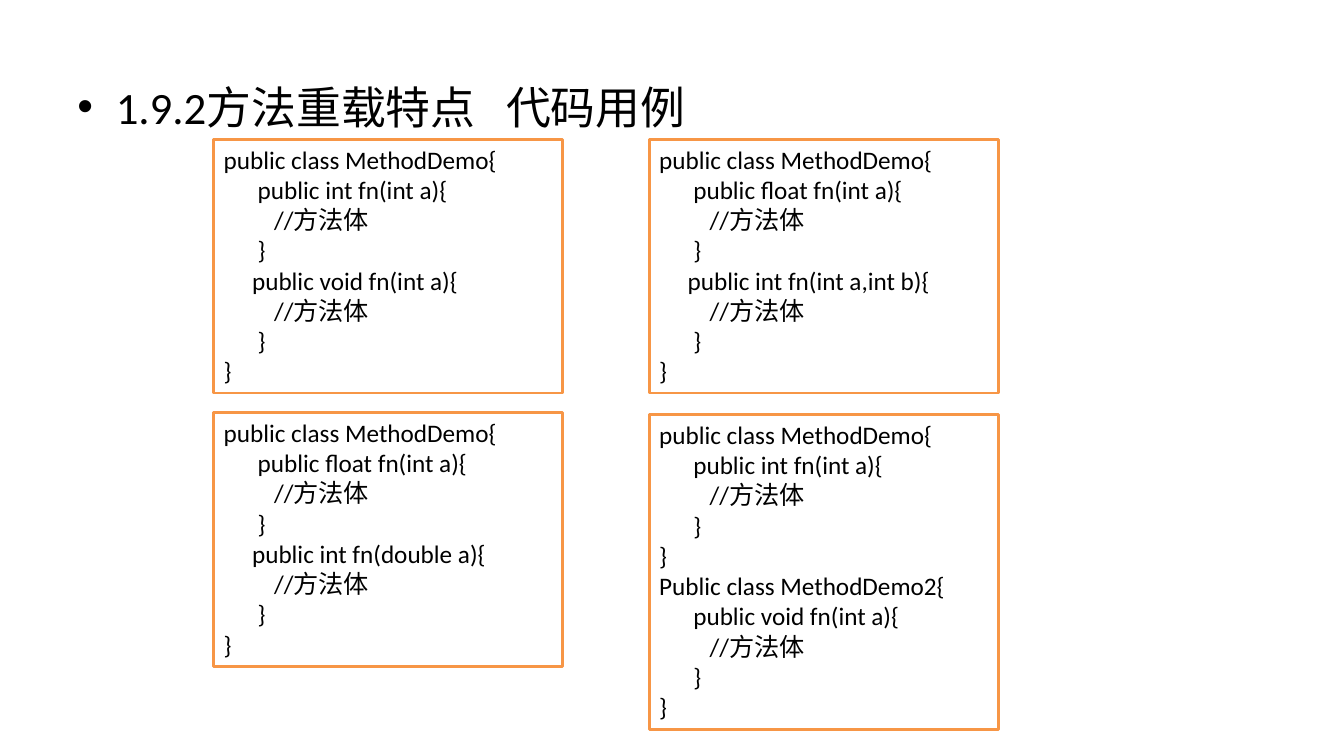
from lxml.etree import SubElement
from pptx import Presentation
from pptx.dml.color import RGBColor
from pptx.enum.shapes import MSO_SHAPE
from pptx.enum.text import MSO_ANCHOR, MSO_AUTO_SIZE, PP_ALIGN
from pptx.oxml.ns import qn
from pptx.util import Inches, Pt

COLORS = {"ink": "000000", "paper": "FFFFFF", "edge": "F79646"}


def color(name):
    return RGBColor.from_string(COLORS[name])


def write(para, text, size=18, font="Calibri", ink="ink", gap=0):
    """Add a run; gap is extra letter spacing in points."""
    run = para.add_run()
    run.text = text
    run.font.size = Pt(size)
    run.font.name = font
    run.font.color.rgb = color(ink)
    if gap:
        run.font._element.set("spc", str(round(gap * 100)))


deck = Presentation()
deck.slide_width, deck.slide_height = Inches(13.33), Inches(7.5)
slide = deck.slides.add_slide(deck.slide_layouts[6])

# Heading with a bullet
head = slide.shapes.add_textbox(Inches(0.67), Inches(0.74), Inches(12), Inches(5.96))
head.text_frame.word_wrap = True
para = head.text_frame.paragraphs[0]
props = para._p.get_or_add_pPr()
props.set("marL", str(Inches(0.38)))
props.set("indent", str(Inches(-0.38)))
SubElement(props, qn("a:buFont"), typeface="Arial")
SubElement(props, qn("a:buChar"), char="•")
write(para, "1.9.2方法重载特点", size=32)
write(para, " ", size=32, gap=14.4)
write(para, "代码用例", size=32)

# Code samples: left, top, height, lines
START = "public class MethodDemo{"
BODY = ["\t//方法体", "      }"]
LEFT, RIGHT = 2.12, 6.44
samples = [
    (LEFT, 1.38, 2.52, [START, "      public int fn(int a){", *BODY,
                        "     public void fn(int a){", *BODY, "}"]),
    (RIGHT, 1.38, 2.52, [START, "      public float fn(int a){", *BODY,
                         "     public int fn(int a,int b){", *BODY, "}"]),
    (LEFT, 4.09, 2.52, [START, "      public float fn(int a){", *BODY,
                        "     public int fn(double a){", *BODY, "}"]),
    (RIGHT, 4.11, 3.13, [START, "      public int fn(int a){", *BODY, "}",
                         "Public class MethodDemo2{",
                         "      public void fn(int a){", *BODY, "}"]),
]
for left, top, height, lines in samples:
    box = slide.shapes.add_shape(MSO_SHAPE.RECTANGLE, Inches(left), Inches(top),
                                 Inches(3.46), Inches(height))
    box.shadow.inherit = False
    box.fill.solid()
    box.fill.fore_color.rgb = color("paper")
    box.line.color.rgb = color("edge")
    box.line.width = Pt(2)
    frame = box.text_frame
    frame.word_wrap = True
    frame.auto_size = MSO_AUTO_SIZE.SHAPE_TO_FIT_TEXT
    frame.vertical_anchor = MSO_ANCHOR.TOP
    for row, line in enumerate(lines):
        para = frame.add_paragraph() if row else frame.paragraphs[0]
        para.alignment = PP_ALIGN.LEFT
        write(para, line)

deck.save("out.pptx")
